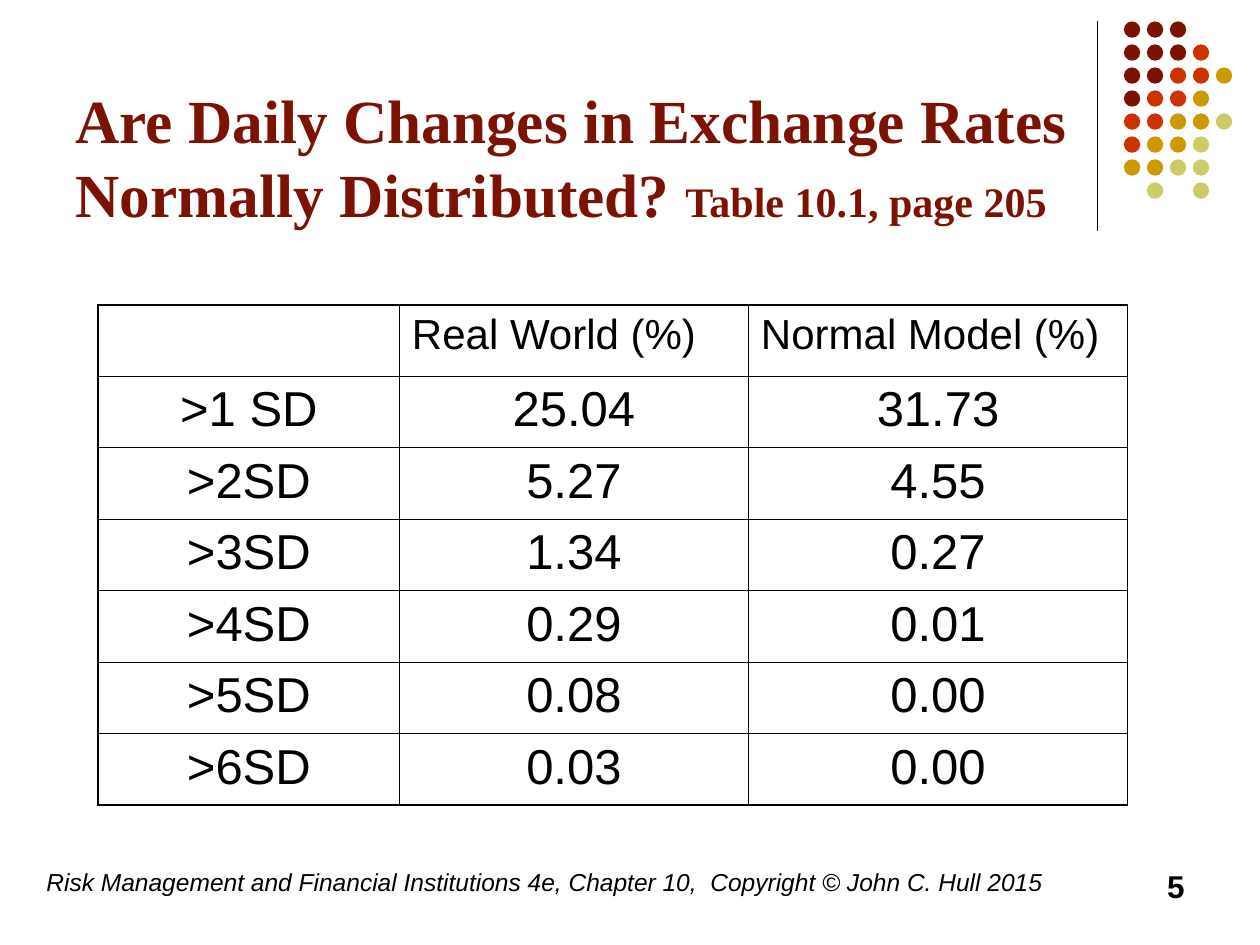
from lxml.etree import SubElement
from pptx import Presentation
from pptx.dml.color import RGBColor
from pptx.enum.shapes import MSO_CONNECTOR as Connector, MSO_SHAPE as Shape
from pptx.enum.text import MSO_ANCHOR as Anchor, MSO_AUTO_SIZE as AutoSize, PP_ALIGN as Align
from pptx.oxml.ns import qn
from pptx.util import Inches, Pt

COLORS = {"text": "000000", "maroon": "7C1302", "red": "CC3300",
          "gold": "CC9900", "lime": "CCCC66"}
DOT_COLORS = {"m": "maroon", "r": "red", "g": "gold", "l": "lime"}
DOT_ROWS = ["mmm", "mmmr", "mmrrg", "mrrg", "rrggl", "rggl", "ggll", " l l"]
DOT_LEFT, DOT_TOP, DOT_SIZE = 8.92, 0.17, 0.13
DOT_PITCH = 0.73 / 4

COLUMN_WIDTHS = [2.39, 2.77, 3.01]
ROW_HEIGHT = 3.97 / 7
THIN, THICK = 0.45, 1.08
TABLE_ROWS = [
    ["", "Real World (%)", "Normal Model (%)"],
    [">1 SD", "25.04", "31.73"],
    [">2SD", "5.27", "4.55"],
    [">3SD", "1.34", "0.27"],
    [">4SD", "0.29", "0.01"],
    [">5SD", "0.08", "0.00"],
    [">6SD", "0.03", "0.00"],
]


def rgb(name):
    return RGBColor.from_string(COLORS[name])


def style_font(font, size, name="Arial", color="text", bold=False, italic=False):
    font.size = Pt(size)
    font.name = name
    font.color.rgb = rgb(color)
    font.bold = bold
    font.italic = italic


def add_rule(slide):
    rule = slide.shapes.add_connector(
        Connector.STRAIGHT, Inches(8.71), Inches(0.17), Inches(8.71), Inches(1.83))
    rule.line.color.rgb = rgb("text")
    rule.line.width = Pt(0.75)
    SubElement(rule.element.spPr, qn("a:effectLst"))


def add_dots(slide):
    group = slide.shapes.add_group_shape()
    for row, codes in enumerate(DOT_ROWS):
        for column, code in enumerate(codes):
            if code == " ":
                continue
            dot = group.shapes.add_shape(
                Shape.OVAL, Inches(DOT_LEFT + column * DOT_PITCH),
                Inches(DOT_TOP + row * DOT_PITCH), Inches(DOT_SIZE), Inches(DOT_SIZE))
            dot.shadow.inherit = False
            dot.fill.solid()
            dot.fill.fore_color.rgb = rgb(DOT_COLORS[code])
            dot.line.fill.background()


def set_title(slide):
    title = slide.shapes.title
    title.left, title.top = Inches(0.5), Inches(0.23)
    title.width, title.height = Inches(8.25), Inches(1.64)
    frame = title.text_frame
    frame.auto_size = AutoSize.NONE
    frame.vertical_anchor = Anchor.BOTTOM
    paragraph = frame.paragraphs[0]
    paragraph.alignment = Align.LEFT
    for text, size in [("Are Daily Changes in Exchange Rates Normally Distributed? ", 35),
                       ("Table 10.1, page 205", 24)]:
        run = paragraph.add_run()
        run.text = text
        style_font(run.font, size, "Times New Roman", "maroon", bold=True)


def set_borders(cell, widths):
    """Draw the left, right, top and bottom borders, with widths in points."""
    properties = cell._tc.get_or_add_tcPr()
    for side, width in zip("LRTB", widths):
        line = SubElement(properties, qn(f"a:ln{side}"), w=str(int(Pt(width))))
        fill = SubElement(line, qn("a:solidFill"))
        SubElement(fill, qn("a:srgbClr"), val=COLORS["text"])


def add_deviation_table(slide):
    last_row, last_column = len(TABLE_ROWS) - 1, len(COLUMN_WIDTHS) - 1
    table = slide.shapes.add_table(
        len(TABLE_ROWS), len(COLUMN_WIDTHS), Inches(0.78), Inches(2.42),
        Inches(sum(COLUMN_WIDTHS)), Inches(ROW_HEIGHT * len(TABLE_ROWS))).table
    table.first_row = table.horz_banding = False
    for column, width in zip(table.columns, COLUMN_WIDTHS):
        column.width = Inches(width)
    for r, values in enumerate(TABLE_ROWS):
        for c, value in enumerate(values):
            cell = table.cell(r, c)
            outer = (c == 0, c == last_column, r == 0, r == last_row)
            set_borders(cell, [THICK if edge else THIN for edge in outer])
            cell.fill.background()
            cell.text_frame.text = value
            paragraph = cell.text_frame.paragraphs[0]
            paragraph.alignment = Align.LEFT if r == 0 else Align.CENTER
            style_font(paragraph.font, 24 if r == 0 else 28)
            for run in paragraph.runs:
                style_font(run.font, 24 if r == 0 else 28)


def add_footer_text(slide, text, left, width, size, align, **style):
    box = slide.shapes.add_textbox(Inches(left), Inches(6.83), Inches(width), Inches(0.5))
    frame = box.text_frame
    frame.word_wrap = True
    frame.text = text
    paragraph = frame.paragraphs[0]
    paragraph.alignment = align
    style_font(paragraph.runs[0].font, size, **style)


def main():
    presentation = Presentation()
    presentation.slide_width, presentation.slide_height = Inches(10), Inches(7.5)
    slide = presentation.slides.add_slide(presentation.slide_layouts[5])
    add_rule(slide)
    add_dots(slide)
    set_title(slide)
    add_deviation_table(slide)
    add_footer_text(
        slide,
        "Risk Management and Financial Institutions 4e, Chapter 10,  Copyright © John C. Hull 2015",
        0.27, 8.27, 14, Align.LEFT, italic=True)
    add_footer_text(slide, "5", 7.17, 2.33, 18, Align.RIGHT, bold=True)
    presentation.save("out.pptx")


if __name__ == "__main__":
    main()
